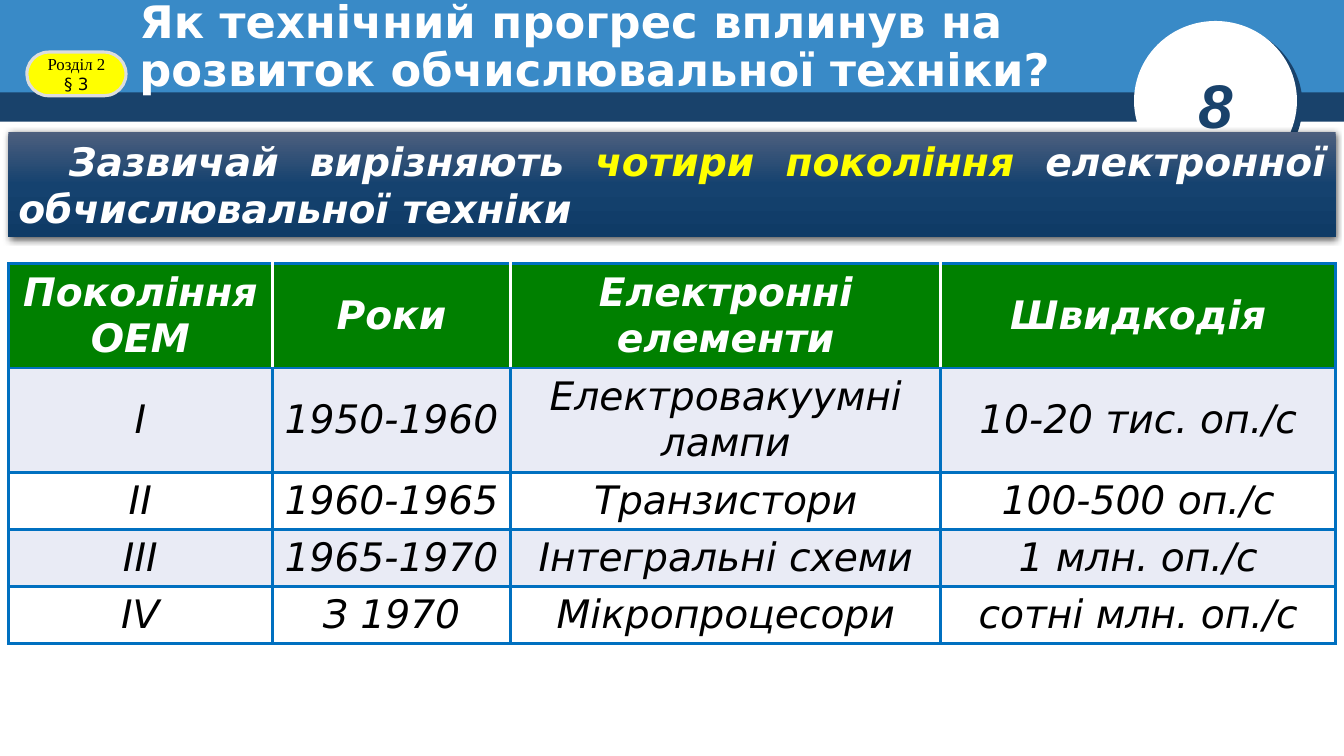
from copy import deepcopy
from dataclasses import dataclass

from lxml.etree import SubElement
from pptx import Presentation
from pptx.dml.color import RGBColor
from pptx.enum.shapes import MSO_SHAPE
from pptx.enum.text import MSO_ANCHOR, PP_ALIGN
from pptx.oxml.ns import qn
from pptx.util import Inches, Pt


@dataclass(frozen=True)
class Theme:
    navy: str = "19426B"
    blue: str = "398AC7"
    white: str = "FFFFFF"
    black: str = "000000"
    yellow: str = "FFFF00"
    silver: str = "DDDDDD"
    green: str = "008000"
    stripe: str = "E9EBF5"
    border: str = "0070C0"
    banner: tuple = ((0, "4D5F7E"), (0.5, "15426F"), (1, "0F3B66"))
    font: str = "DejaVu Sans"
    badge_font: str = "Times New Roman"
    number_font: str = "Arial"
    number_size: int = 44
    title_size: int = 32
    body_size: int = 28
    badge_size: int = 12
    line_width: float = 2.25


class SlideBuilder:
    """Draws themed elements on a grid of 160 columns by 90 rows."""

    def __init__(self, deck, theme):
        self.theme = theme
        self.slide = deck.slides.add_slide(deck.slide_layouts[6])
        self.column = deck.slide_width / 160
        self.row = deck.slide_height / 90

    def place(self, left, top, width, height):
        return (round(left * self.column), round(top * self.row),
                round(width * self.column), round(height * self.row))

    def shape(self, kind, area, color=None):
        shape = self.slide.shapes.add_shape(kind, *self.place(*area))
        shape.shadow.inherit = False
        shape.line.fill.background()
        if color:
            shape.fill.solid()
            shape.fill.fore_color.rgb = RGBColor.from_string(color)
        return shape

    def gradient(self, shape, stops):
        shape.fill.gradient()
        shape.fill.gradient_angle = 270
        stop_list = next(shape.element.spPr.iter(qn("a:gsLst")))
        for _ in stops[2:]:
            stop_list.append(deepcopy(stop_list[0]))
        for stop, (position, color) in zip(shape.fill.gradient_stops, stops):
            stop.position = position
            stop.color.rgb = RGBColor.from_string(color)

    def shadow(self, shape, color, opacity, blur, distance, angle):
        effects = shape.element.spPr.find(qn("a:effectLst"))
        outer = SubElement(effects, qn("a:outerShdw"), blurRad=str(Pt(blur)),
                           dist=str(Pt(distance)), dir=str(angle * 60000),
                           algn="ctr", rotWithShape="0")
        tint = SubElement(outer, qn("a:srgbClr"), val=color)
        SubElement(tint, qn("a:alpha"), val=str(opacity * 1000))

    def text_box(self, area):
        return self.slide.shapes.add_textbox(*self.place(*area))

    def add_text(self, frame, spans, size, color, font=None, bold=False, italic=False,
                 align=PP_ALIGN.LEFT, anchor=MSO_ANCHOR.MIDDLE):
        frame.word_wrap = True
        frame.vertical_anchor = anchor
        para = frame.paragraphs[0]
        para.alignment = align
        para.font.size = Pt(size)
        para.font.bold = bold
        para.font.italic = italic
        para.font.name = font or self.theme.font
        para.font.color.rgb = RGBColor.from_string(color)
        for text, span_color, span_font in spans:
            span = para.add_run()
            span.text = text
            span.font.color.rgb = RGBColor.from_string(span_color or color)
            span.font.name = span_font or font or self.theme.font
        return para

    def cell_borders(self, cell, colors):
        properties = cell._tc.get_or_add_tcPr()
        for side, color in zip("LRTB", colors):
            line = SubElement(properties, qn(f"a:ln{side}"), w=str(Pt(self.theme.line_width)))
            fill = SubElement(line, qn("a:solidFill"))
            SubElement(fill, qn("a:srgbClr"), val=color)

    def table(self, left, top, widths, heights, records):
        theme = self.theme
        area = self.place(left, top, sum(widths), sum(heights))
        table = self.slide.shapes.add_table(len(heights), len(widths), *area).table
        for column, width in zip(table.columns, widths):
            column.width = round(width * self.column)
        for row, height in zip(table.rows, heights):
            row.height = round(height * self.row)
        last = len(widths) - 1
        for row_index, record in enumerate(records):
            header = row_index == 0
            fill = theme.green if header else (theme.white, theme.stripe)[row_index % 2]
            inner = theme.white if header else theme.border
            for index, text in enumerate(record):
                cell = table.cell(row_index, index)
                self.cell_borders(cell, (inner if index > 0 else theme.border,
                                         inner if index < last else theme.border,
                                         theme.border, theme.border))
                cell.fill.solid()
                cell.fill.fore_color.rgb = RGBColor.from_string(fill)
                cell.vertical_anchor = MSO_ANCHOR.MIDDLE
                self.add_text(cell.text_frame, [(text, None, None)], theme.body_size,
                              theme.white if header else theme.black,
                              bold=header, italic=True, align=PP_ALIGN.CENTER)


GENERATIONS = (
    ("Покоління ОЕМ", "Роки", "Електронні елементи", "Швидкодія"),
    ("І", "1950-1960", "Електровакуумні лампи", "10-20 тис. оп./с"),
    ("ІІ", "1960-1965", "Транзистори", "100-500 оп./с"),
    ("ІІІ", "1965-1970", "Інтегральні схеми", "1 млн. оп./с"),
    ("ІV", "З 1970", "Мікропроцесори", "сотні млн. оп./с"),
)


def main():
    deck = Presentation()
    deck.slide_width, deck.slide_height = Inches(13.33), Inches(7.5)
    theme = Theme()
    page = SlideBuilder(deck, theme)

    page.shape(MSO_SHAPE.RECTANGLE, (0, 10.4, 160, 4.1), theme.navy)
    page.shape(MSO_SHAPE.RECTANGLE, (0, 0, 160, 11), theme.blue)
    circle = page.shape(MSO_SHAPE.OVAL, (135, 2.5, 19.4, 19), theme.white)
    page.shadow(circle, theme.navy, 100, 0, 5, 37)
    number = page.text_box((141.5, 7.4, 10, 10))
    page.add_text(number.text_frame, [("8", None, None)], theme.number_size, theme.navy,
                  theme.number_font, bold=True, italic=True, anchor=MSO_ANCHOR.TOP)

    title = page.text_box((15.4, 2.2, 118.8, 7))
    para = page.add_text(title.text_frame,
                         [("Як технічний прогрес вплинув на розвиток обчислювальної техніки?",
                           None, None)],
                         theme.title_size, theme.white, bold=True)
    para.line_spacing = 0.9

    badge = page.shape(MSO_SHAPE.ROUNDED_RECTANGLE, (3.2, 6.2, 11.8, 5.2), theme.yellow)
    badge.adjustments[0] = 0.5
    badge.line.color.rgb = RGBColor.from_string(theme.silver)
    badge.line.width = Pt(theme.line_width)
    page.add_text(badge.text_frame,
                  [("Розділ 2 ", None, theme.badge_font), ("§ 3", None, None)],
                  theme.badge_size, theme.black, align=PP_ALIGN.CENTER)

    banner = page.shape(MSO_SHAPE.RECTANGLE, (1, 15.7, 158, 12.5))
    page.gradient(banner, theme.banner)
    page.shadow(banner, theme.black, 63, 4.5, 1.5, 90)
    para = page.add_text(banner.text_frame,
                         [("Зазвичай вирізняють ", None, None),
                          ("чотири покоління ", theme.yellow, None),
                          ("електронної обчислювальної техніки", None, None)],
                         theme.body_size, theme.white, bold=True, italic=True,
                         align=PP_ALIGN.JUSTIFY, anchor=MSO_ANCHOR.TOP)
    para._p.get_or_add_pPr().set("indent", str(Inches(0.5)))

    page.table(1, 31.4, (31.4, 28.4, 51.2, 47), (12.4, 12.4, 6.8, 6.8, 6.8), GENERATIONS)
    deck.save("out.pptx")


if __name__ == "__main__":
    main()
